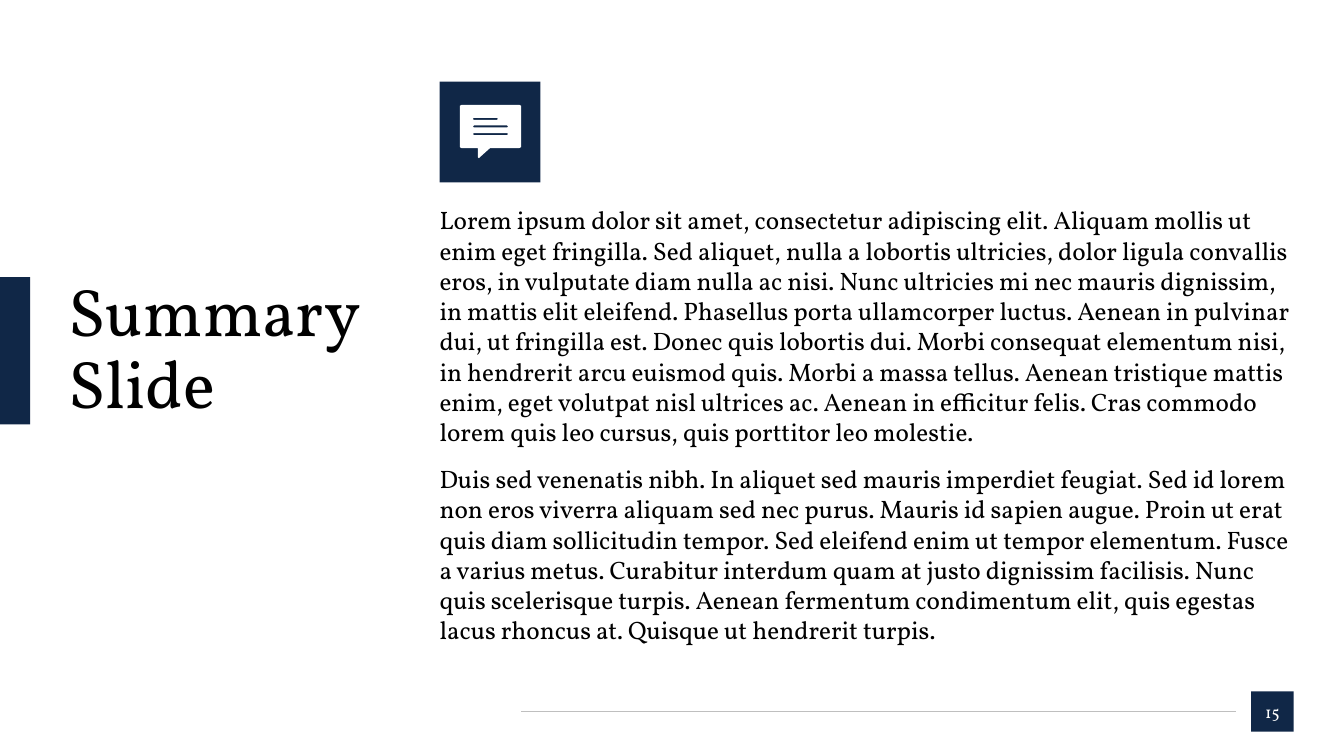
"""Build a summary slide with a title, two paragraphs and a speech-bubble icon."""
from lxml import etree
from pptx import Presentation
from pptx.dml.color import RGBColor
from pptx.enum.shapes import MSO_CONNECTOR, MSO_SHAPE
from pptx.enum.text import MSO_ANCHOR, PP_ALIGN
from pptx.oxml.ns import qn
from pptx.util import Inches, Pt

NAVY = RGBColor(0x10, 0x27, 0x47)
WHITE = RGBColor(0xFF, 0xFF, 0xFF)
BLACK = RGBColor(0, 0, 0)
GRAY = RGBColor(0xBF, 0xBF, 0xBF)
FONT = "Vollkorn"
RECTANGLE = MSO_SHAPE.RECTANGLE
STRAIGHT = MSO_CONNECTOR.STRAIGHT
MIDDLE, TOP = MSO_ANCHOR.MIDDLE, MSO_ANCHOR.TOP
LEFT, CENTER = PP_ALIGN.LEFT, PP_ALIGN.CENTER

TITLE = ["Summary", "Slide"]
BODY = [
    "Lorem ipsum dolor sit amet, consectetur adipiscing elit. Aliquam mollis ut "
    "enim eget fringilla. Sed aliquet, nulla a lobortis ultricies, dolor ligula convallis "
    "eros, in vulputate diam nulla ac nisi. Nunc ultricies mi nec mauris dignissim, "
    "in mattis elit eleifend. Phasellus porta ullamcorper luctus. Aenean in pulvinar "
    "dui, ut fringilla est. Donec quis lobortis dui. Morbi consequat elementum nisi, "
    "in hendrerit arcu euismod quis. Morbi a massa tellus. Aenean tristique mattis "
    "enim, eget volutpat nisl ultrices ac. Aenean in efficitur felis. Cras commodo "
    "lorem quis leo cursus, quis porttitor leo molestie.",
    "Duis sed venenatis nibh. In aliquet sed mauris imperdiet feugiat. Sed id lorem "
    "non eros viverra aliquam sed nec purus. Mauris id sapien augue. Proin ut erat "
    "quis diam sollicitudin tempor. Sed eleifend enim ut tempor elementum. Fusce "
    "a varius metus. Curabitur interdum quam at justo dignissim facilisis. Nunc "
    "quis scelerisque turpis. Aenean fermentum condimentum elit, quis egestas "
    "lacus rhoncus at. Quisque ut hendrerit turpis.",
]


def fill_plain(shape, color):
    shape.shadow.inherit = False
    shape.fill.solid()
    shape.fill.fore_color.rgb = color
    shape.line.fill.background()


def write_text(shape, texts, size, color, anchor=TOP, align=LEFT, spacing=1.0, after=0):
    frame = shape.text_frame
    frame.word_wrap = True
    frame.vertical_anchor = anchor
    frame.margin_left = frame.margin_right = frame.margin_top = frame.margin_bottom = 0
    frame.text = "\n".join(texts)
    for paragraph in frame.paragraphs:
        paragraph.alignment = align
        paragraph.line_spacing = spacing
        paragraph.space_after = Pt(after)
        paragraph.font.name = FONT
        paragraph.font.size = Pt(size)
        paragraph.font.color.rgb = color


presentation = Presentation()
presentation.slide_width = Inches(13.33)
presentation.slide_height = Inches(7.5)
slide = presentation.slides.add_slide(presentation.slide_layouts[6])
shapes = slide.shapes

accent_bar = shapes.add_shape(RECTANGLE, 0, Inches(2.75), Inches(0.3), Inches(1.46))
page_box = shapes.add_shape(RECTANGLE, Inches(12.41), Inches(6.86), Inches(0.42), Inches(0.4))
icon_tile = shapes.add_shape(RECTANGLE, Inches(4.36), Inches(0.81), Inches(1), Inches(1))
for block in (accent_bar, page_box, icon_tile):
    fill_plain(block, NAVY)
write_text(page_box, ["15"], 12, WHITE, anchor=MIDDLE, align=CENTER)

footer_line = shapes.add_connector(
    STRAIGHT, Inches(5.17), Inches(7.06), Inches(12.26), Inches(7.06))
footer_line.line.color.rgb = GRAY
footer_line.line.width = Pt(0.5)
etree.SubElement(footer_line._element.spPr, qn("a:effectLst"))

title_box = shapes.add_textbox(Inches(0.68), Inches(2.75), Inches(3.69), Inches(1.46))
write_text(title_box, TITLE, 48, BLACK, anchor=MIDDLE, spacing=0.9)

body_box = shapes.add_textbox(Inches(4.36), Inches(2.03), Inches(8.47), Inches(4.09))
write_text(body_box, BODY, 18, BLACK, after=12)

bubble = [(4.58, 1.04), (4.56, 1.05), (4.56, 1.46), (4.58, 1.47), (4.74, 1.47),
          (4.74, 1.56), (4.75, 1.57), (4.76, 1.56), (4.86, 1.47), (5.15, 1.47),
          (5.17, 1.46), (5.17, 1.05), (5.15, 1.04)]
contours = [bubble]
for top, right in ((1.17, 4.94), (1.245, 5.04), (1.32, 5.04)):
    middle, bottom = top + 0.01, top + 0.02
    contours.append([(4.7, top), (right - 0.01, top), (right, middle),
                     (right - 0.01, bottom), (4.7, bottom), (4.69, middle)])

builder = shapes.build_freeform(Inches(4.58), Inches(1.04))
for contour in contours:
    points = [(Inches(x), Inches(y)) for x, y in contour]
    if contour is not bubble:
        builder.move_to(*points[0])
    builder.add_line_segments(points[1:], close=True)
fill_plain(builder.convert_to_shape(), WHITE)

presentation.save("out.pptx")
